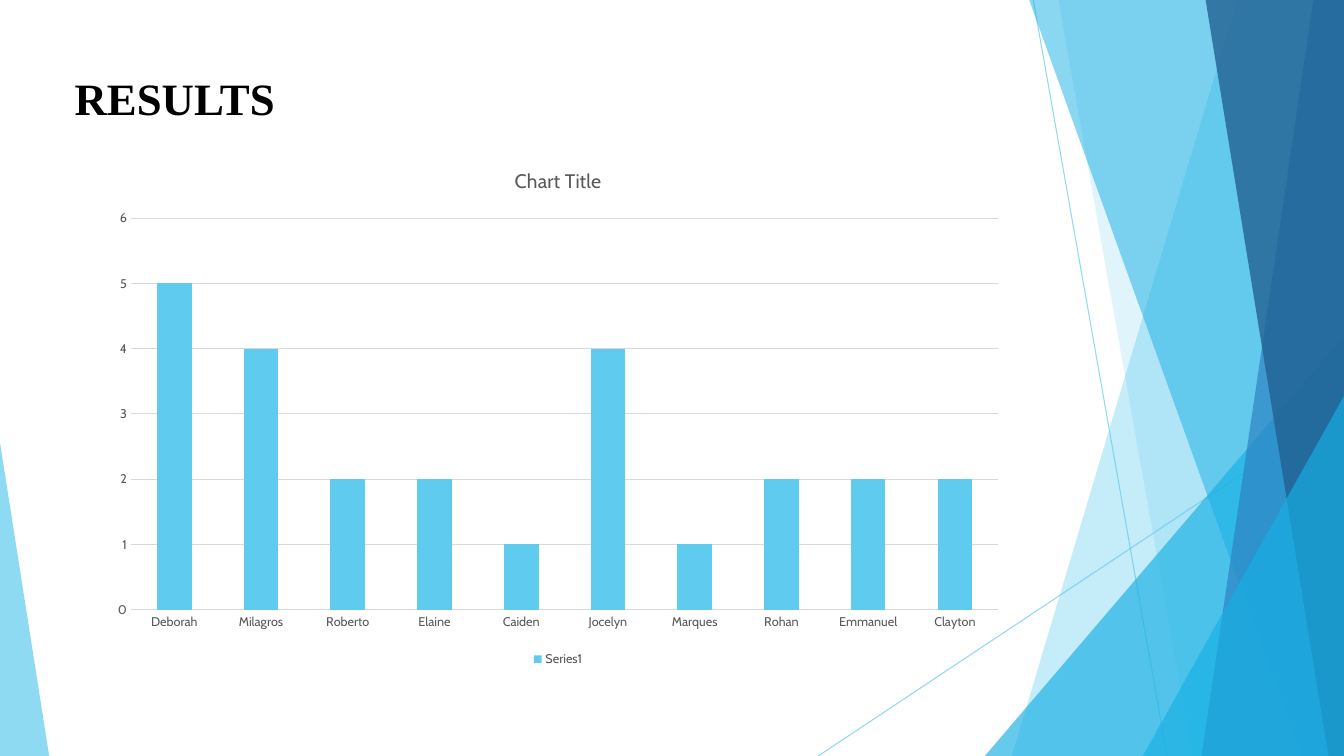
"""Build the results slide: a column chart beside angled blue bands."""
from pptx import Presentation, util as u
from pptx.chart.data import CategoryChartData
from pptx.dml.color import RGBColor
from pptx.enum import chart as ch, shapes, text
from pptx.oxml import parse_xml
from pptx.oxml.ns import nsdecls, qn

WIDE, HIGH, TOP = 33.87, 19.05, -0.02
SKY, CYAN, BLUE, NAVY = "5FCBEF", "17B0E4", "2E83C3", "226292"
GREY, PALE, BLACK = "595959", "D9D9D9", "000000"
SANS, SERIF = "Cabin", "Times New Roman"
TITLE = "RESULTS"
HEAD = "Chart Title"
NAME = "Series1"
SCORES = {
    "Deborah": 5, "Milagros": 4, "Roberto": 2, "Elaine": 2, "Caiden": 1,
    "Jocelyn": 4, "Marques": 1, "Rohan": 2, "Emmanuel": 2, "Clayton": 2,
}
LINES = [(26.04, 0, 29.41, HIGH), (WIDE, 10.24, 20.62, HIGH)]
DECOR = [
    ("band", (31.19, 25.5), SKY, 36),
    ("band", (26.67, 30.05), SKY, 20),
    ("peak", (24.82, 8.46, WIDE, 1), CYAN, 66),
    ("band", (25.93, 32.79), CYAN, 50),
    ("band", (33.1, 30.28), BLUE, 70),
    ("band", (30.38, 33.48), NAVY, 80),
    ("peak", (28.8, 9.98, WIDE, 1), CYAN, 66),
    ("peak", (0, 11.15, 1.24, 0), SKY, 70),
]


def rgb(code):
    return RGBColor.from_string(code)


def cm(*nums):
    return [u.Cm(n) for n in nums]


def style(font, size, code, face, bold=False):
    font.size, font.name, font.bold = u.Pt(size), face, bold
    font.color.rgb = rgb(code)


def fade(shape, share):
    tint = shape.element.spPr.find(".//" + qn("a:srgbClr"))
    tint.append(parse_xml(f'<a:alpha {nsdecls("a")} val="{share * 1000}"/>'))


def band(slide, high, low):
    path = slide.shapes.build_freeform(*cm(high, TOP), scale=1.0)
    path.add_line_segments([cm(WIDE, TOP), cm(WIDE, HIGH), cm(low, HIGH)])
    return path.convert_to_shape()


def peak(slide, left, top, right, tip):
    shape = slide.shapes.add_shape(
        shapes.MSO_SHAPE.ISOSCELES_TRIANGLE,
        *cm(left, top, right - left, HIGH - top))
    shape.adjustments[0] = tip
    return shape


def rule(slide, ends):
    line = slide.shapes.add_connector(shapes.MSO_CONNECTOR.STRAIGHT, *cm(*ends))
    line.line.color.rgb = rgb(SKY)
    line.line.width = u.Pt(0.75)
    fade(line, 70)
    line.element.spPr.append(parse_xml(f'<a:effectLst {nsdecls("a")}/>'))


def decor(slide):
    for ends in LINES:
        rule(slide, ends)
    draw = {"band": band, "peak": peak}
    for kind, spots, code, share in DECOR:
        shape = draw[kind](slide, *spots)
        shape.shadow.inherit = False
        shape.fill.solid()
        shape.fill.fore_color.rgb = rgb(code)
        shape.line.fill.background()
        fade(shape, share)


def title(slide):
    frame = slide.shapes.add_textbox(*cm(1.63, 1.65, 19.28, 1.63)).text_frame
    frame.word_wrap = True
    frame.auto_size = text.MSO_AUTO_SIZE.SHAPE_TO_FIT_TEXT
    run = frame.paragraphs[0].add_run()
    run.text = TITLE
    style(run.font, 32, BLACK, SERIF, True)


def graph(slide):
    data = CategoryChartData()
    data.categories = list(SCORES)
    data.add_series(NAME, list(SCORES.values()))
    chart = slide.shapes.add_chart(
        ch.XL_CHART_TYPE.COLUMN_CLUSTERED,
        *cm(2.51, 3.73, 23.11, 13.18), data).chart
    style(chart.font, 10, BLACK, SANS)
    chart.has_title = True
    run = chart.chart_title.text_frame.paragraphs[0].add_run()
    run.text = HEAD
    style(run.font, 14, GREY, SANS)
    chart.has_legend = True
    chart.legend.position = ch.XL_LEGEND_POSITION.BOTTOM
    chart.legend.include_in_layout = False
    style(chart.legend.font, 9, GREY, SANS)
    for axis in (chart.category_axis, chart.value_axis):
        axis.major_tick_mark = axis.minor_tick_mark = ch.XL_TICK_MARK.NONE
        axis.format.line.fill.background()
        style(axis.tick_labels.font, 9, GREY, SANS)
    scale = chart.value_axis
    scale.minimum_scale, scale.maximum_scale, scale.major_unit = 0, 6, 1
    grid = scale.major_gridlines.format.line
    grid.color.rgb = rgb(PALE)
    grid.width = u.Pt(0.75)
    plot = chart.plots[0]
    plot.gap_width = 150
    plot.vary_by_categories = False
    fill = plot.series[0].format.fill
    fill.solid()
    fill.fore_color.rgb = rgb(SKY)


def main():
    deck = Presentation()
    deck.slide_width, deck.slide_height = cm(WIDE, HIGH)
    slide = deck.slides.add_slide(deck.slide_layouts[6])
    decor(slide)
    title(slide)
    graph(slide)
    deck.save("out.pptx")


if __name__ == "__main__":
    main()
